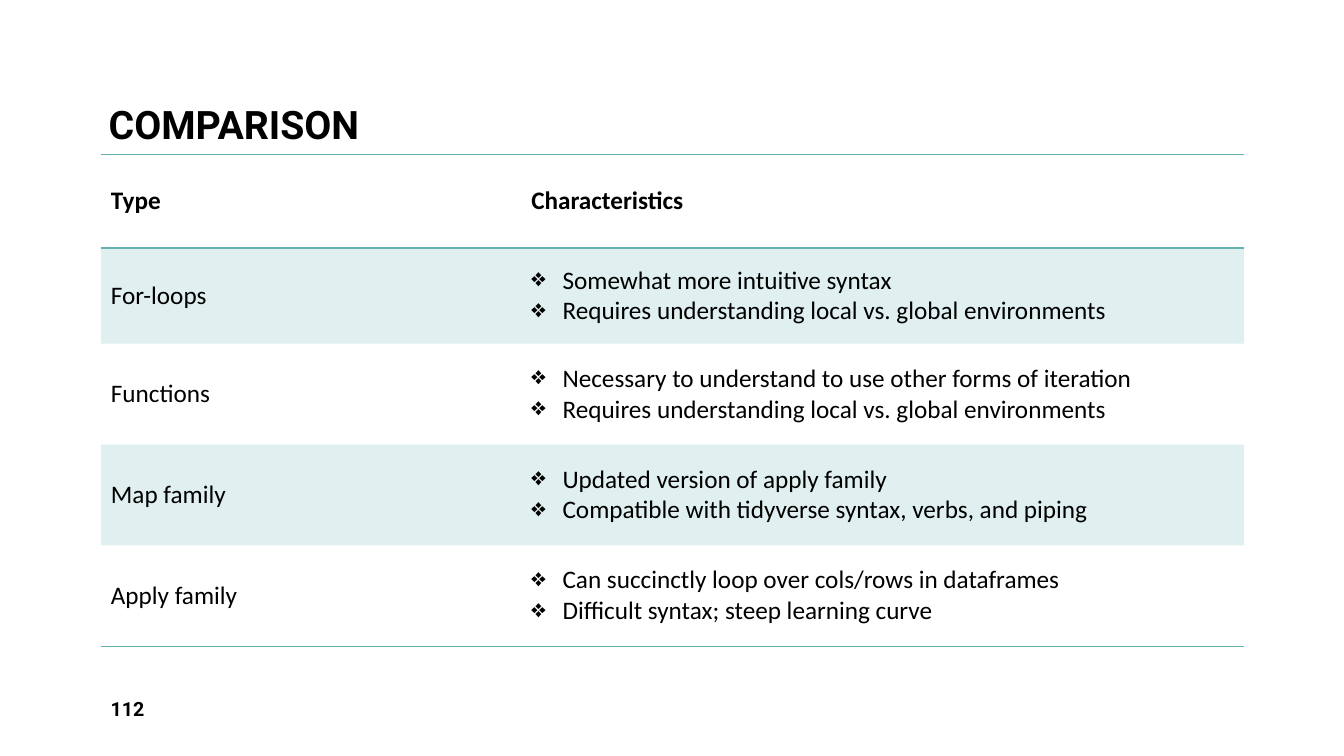
from lxml.etree import SubElement
from pptx import Presentation
from pptx.dml.color import RGBColor
from pptx.enum.text import MSO_ANCHOR
from pptx.oxml.ns import qn
from pptx.util import Inches, Pt

TITLE = "COMPARISON"
PAGE_NUMBER = "112"
HEADERS = ("Type", "Characteristics")
ROWS = [
    ("For-loops", ["Somewhat more intuitive syntax",
                   "Requires understanding local vs. global environments"]),
    ("Functions", ["Necessary to understand to use other forms of iteration",
                   "Requires understanding local vs. global environments"]),
    ("Map family", ["Updated version of apply family",
                    "Compatible with tidyverse syntax, verbs, and piping"]),
    ("Apply family", ["Can succinctly loop over cols/rows in dataframes",
                      "Difficult syntax; steep learning curve"]),
]
COLUMN_WIDTHS = (4.17, 7.17)
ROW_HEIGHTS = (0.93, 0.95, 1, 1, 1)
BLACK, TEAL = "000000", "66B2B0"
BAND_OPACITY = 20
BULLET_INDENT = Inches(0.31)
NO_STYLE_NO_GRID = "{2D5ABB26-0587-4C30-8999-92F81FD0307C}"


def color(hex_value):
    return RGBColor.from_string(hex_value)


def add_text(paragraph, text, size, font_name, bold):
    run = paragraph.add_run()
    run.text = text
    run.font.size = Pt(size)
    run.font.name = font_name
    run.font.bold = bold
    run.font.color.rgb = color(BLACK)


def add_label(slide, box, text, size, anchor, line_spacing=None):
    shape = slide.shapes.add_textbox(*map(Inches, box))
    frame = shape.text_frame
    frame.word_wrap = True
    frame.vertical_anchor = anchor
    paragraph = frame.paragraphs[0]
    paragraph.line_spacing = line_spacing
    add_text(paragraph, text, size, "Roboto", True)


def add_bullet(paragraph):
    properties = paragraph._p.get_or_add_pPr()
    properties.set("marL", str(BULLET_INDENT))
    properties.set("indent", str(-BULLET_INDENT))
    SubElement(properties, qn("a:buChar"), char="❖")


def add_border(cell, side):
    line = SubElement(cell._tc.get_or_add_tcPr(), qn(f"a:ln{side}"), w=str(Pt(1)))
    fill = SubElement(line, qn("a:solidFill"))
    SubElement(fill, qn("a:srgbClr"), val=TEAL)


def fill_cell(cell, banded):
    if not banded:
        cell.fill.background()
        return
    cell.fill.solid()
    cell.fill.fore_color.rgb = color(TEAL)
    tint = cell._tc.tcPr.find(f"{qn('a:solidFill')}/{qn('a:srgbClr')}")
    SubElement(tint, qn("a:alpha"), val=str(BAND_OPACITY * 1000))


def write_cell(cell, content, bold):
    """Write a string as plain text, or a list as one bullet per item."""
    cell.vertical_anchor = MSO_ANCHOR.MIDDLE
    bulleted = isinstance(content, list)
    for index, text in enumerate(content if bulleted else [content]):
        frame = cell.text_frame
        paragraph = frame.add_paragraph() if index else frame.paragraphs[0]
        if bulleted:
            add_bullet(paragraph)
        add_text(paragraph, text, 18, "Calibri", bold)


def add_comparison_table(slide):
    rows = [HEADERS, *ROWS]
    table = slide.shapes.add_table(
        len(rows), len(HEADERS), Inches(1), Inches(1.53),
        Inches(sum(COLUMN_WIDTHS)), Inches(sum(ROW_HEIGHTS))).table
    table._tbl.tblPr.find(qn("a:tableStyleId")).text = NO_STYLE_NO_GRID
    table.first_row = table.horz_banding = False
    for column, width in zip(table.columns, COLUMN_WIDTHS):
        column.width = Inches(width)
    for row_index, (contents, height) in enumerate(zip(rows, ROW_HEIGHTS)):
        table.rows[row_index].height = Inches(height)
        is_header = row_index == 0
        for column_index, content in enumerate(contents):
            cell = table.cell(row_index, column_index)
            write_cell(cell, content, is_header)
            if is_header:
                add_border(cell, "T")
            if is_header or row_index == len(rows) - 1:
                add_border(cell, "B")
            fill_cell(cell, row_index % 2 == 1)


def main():
    presentation = Presentation()
    presentation.slide_width = Inches(13.33)
    presentation.slide_height = Inches(7.5)
    slide = presentation.slides.add_slide(presentation.slide_layouts[6])
    add_label(slide, (0.98, 0.15, 6.75, 1.37), TITLE, 28, MSO_ANCHOR.BOTTOM, 0.9)
    add_comparison_table(slide)
    add_label(slide, (1, 6.83, 1.3, 0.4), PAGE_NUMBER, 14, MSO_ANCHOR.MIDDLE)
    presentation.save("out.pptx")


if __name__ == "__main__":
    main()
